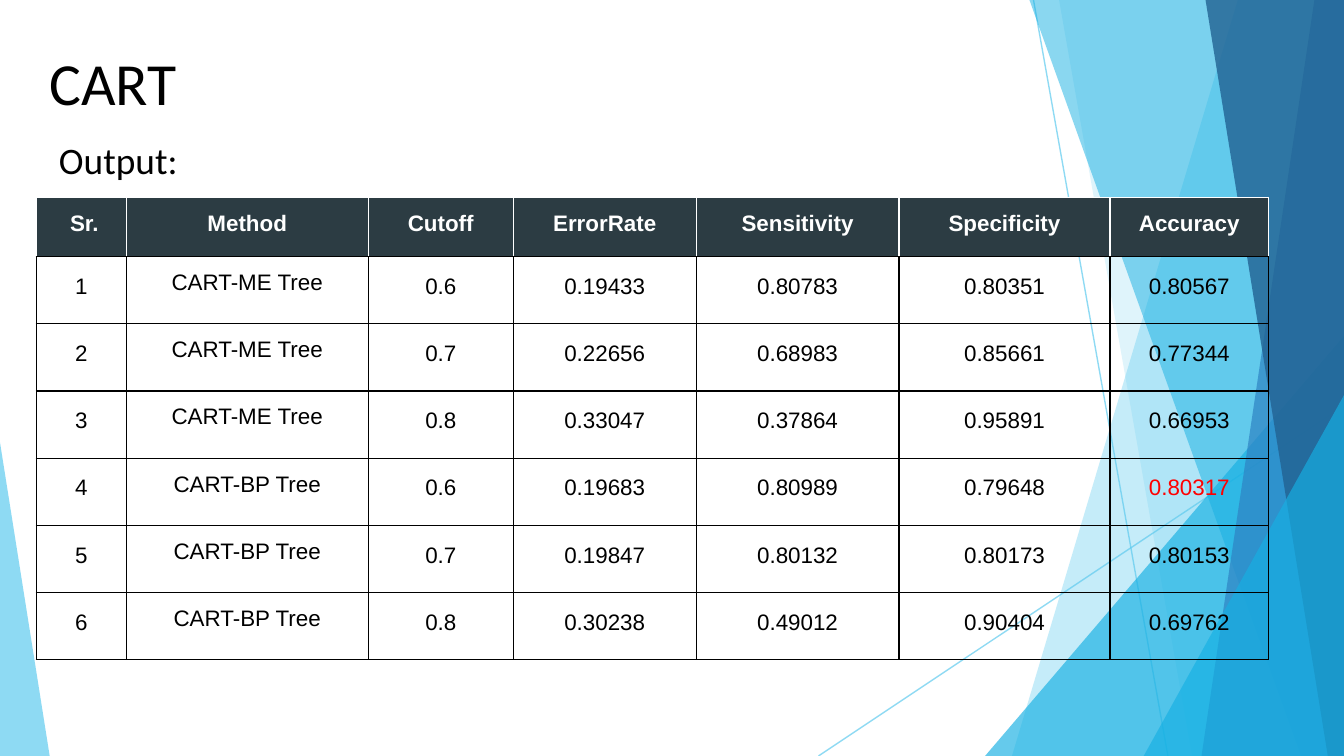
from lxml.etree import SubElement
from pptx import Presentation
from pptx.dml.color import RGBColor
from pptx.enum.shapes import MSO_CONNECTOR, MSO_SHAPE
from pptx.enum.text import PP_ALIGN
from pptx.oxml.ns import qn
from pptx.util import Inches, Pt

WIDE = 10
HIGH = WIDE * 9 / 16
HEX = {
    "sky": "5FCBEF", "cyan": "16B0E3", "blue": "2E83C3", "navy": "226292",
    "slate": "2C3C43", "black": "000000", "white": "FFFFFF", "red": "FF0000",
}

# Content
TEXTS = [  # text, left, top, width, height, size, space after
    ("CART", 0.27, 0.24, 9.32, 0.5, 32, 0),
    ("Output:", 0.34, 0.92, 9.32, 0.55, 20, 16),
]
HEAD = [" Sr.", "Method", "Cutoff", "ErrorRate", "Sensitivity", "Specificity", "Accuracy"]
ROWS = [
    ["1", "CART-ME Tree", "0.6", "0.19433", "0.80783", "0.80351", "0.80567"],
    ["2", "CART-ME Tree", "0.7", "0.22656", "0.68983", "0.85661", "0.77344"],
    ["3", "CART-ME Tree", "0.8", "0.33047", "0.37864", "0.95891", "0.66953"],
    ["4", "CART-BP Tree", "0.6", "0.19683", "0.80989", "0.79648", "0.80317"],
    ["5", "CART-BP Tree", "0.7", "0.19847", "0.80132", "0.80173", "0.80153"],
    ["6", "CART-BP Tree", "0.8", "0.30238", "0.49012", "0.90404", "0.69762"],
]
COLS = [0.67, 1.8, 1.08, 1.36, 1.51, 1.57, 1.18]
HEAD_H, ROW_H = 0.44, 0.5
METHOD = 1
MARK = (4, 6)  # row and column of the red value

# Backdrop, from back to front
RAYS = [(7.69, 0, 8.69, HIGH), (10, 3.02, 6.09, HIGH)]
FACETS = [
    # band: top x, bottom x; peak: left, top, width, apex
    ("band", (9.21, 7.53), "sky", 36),
    ("band", (7.88, 8.87), "sky", 20),
    ("peak", (7.33, 2.5, 2.67, 1), "cyan", 66),
    ("band", (7.66, 9.68), "cyan", 50),
    ("band", (9.78, 8.94), "blue", 70),
    ("band", (8.97, 9.88), "navy", 80),
    ("peak", (8.51, 2.94, 1.49, 1), "cyan", 66),
    ("peak", (0, 3.29, 0.37, 0), "sky", 70),
]


def rgb(name):
    return RGBColor.from_string(HEX[name])


def fade(shape, pct):
    tint = shape._element.spPr.find(".//" + qn("a:srgbClr"))
    SubElement(tint, qn("a:alpha"), val=str(pct * 1000))


def ray(shapes, ends):
    line = shapes.add_connector(MSO_CONNECTOR.STRAIGHT, *map(Inches, ends))
    line.line.color.rgb = rgb("sky")
    line.line.width = Pt(0.75)
    fade(line, 70)
    SubElement(line._element.spPr, qn("a:effectLst"))


def facet(shapes, kind, spot, tint, pct):
    if kind == "band":
        top, low = spot
        path = shapes.build_freeform(Inches(top), 0)
        ends = [(WIDE, 0), (WIDE, HIGH), (low, HIGH)]
        path.add_line_segments([(Inches(x), Inches(y)) for x, y in ends])
        shape = path.convert_to_shape()
    else:
        left, top, width, apex = spot
        box = map(Inches, (left, top, width, HIGH - top))
        shape = shapes.add_shape(MSO_SHAPE.ISOSCELES_TRIANGLE, *box)
        shape.adjustments[0] = apex
    shape.shadow.inherit = False
    shape.fill.solid()
    shape.fill.fore_color.rgb = rgb(tint)
    shape.line.fill.background()
    fade(shape, pct)


def pad(part):
    part.margin_left = part.margin_right = Inches(0.1)
    part.margin_top = part.margin_bottom = Inches(0.1)


def style(para, face, size, tint, bold=False):
    para.font.name = face
    para.font.size = Pt(size)
    para.font.bold = bold
    para.font.color.rgb = rgb(tint)


def label(shapes, text, left, top, width, height, size, after):
    frame = shapes.add_textbox(*map(Inches, (left, top, width, height))).text_frame
    frame.word_wrap = True
    pad(frame)
    para = frame.paragraphs[0]
    para.text = text
    para.space_after = Pt(after)
    style(para, "Calibri", size, "black")


def edge(cell, sides):
    props = cell._tc.get_or_add_tcPr()
    for side, tint in sides.items():
        line = SubElement(props, qn("a:ln" + side), w=str(Pt(0.75)))
        fill = SubElement(line, qn("a:solidFill"))
        SubElement(fill, qn("a:srgbClr"), val=HEX[tint])


def fill_cell(cell, text, row, col):
    head = row == 0
    pad(cell)
    para = cell.text_frame.paragraphs[0]
    para.text = text
    para.alignment = PP_ALIGN.CENTER
    if not head and col != METHOD:
        para.line_spacing = 1.15
    tint = "white" if head else "red" if (row, col) == MARK else "black"
    style(para, "Arial", 12, tint, head)
    rim = "white" if head else "black"
    edge(cell, {"L": rim, "R": rim, "T": rim, "B": "black"})
    if head:
        cell.fill.solid()
        cell.fill.fore_color.rgb = rgb("slate")
    else:
        cell.fill.background()


def grid(shapes):
    data = [HEAD] + ROWS
    tall = HEAD_H + ROW_H * len(ROWS)
    box = map(Inches, (0.27, 1.47, sum(COLS), tall))
    table = shapes.add_table(len(data), len(COLS), *box).table
    table.first_row = table.horz_banding = False
    for col, width in zip(table.columns, COLS):
        col.width = Inches(width)
    for r, line in enumerate(data):
        table.rows[r].height = Inches(ROW_H if r else HEAD_H)
        for c, text in enumerate(line):
            fill_cell(table.cell(r, c), text, r, c)


def main():
    deck = Presentation()
    deck.slide_width, deck.slide_height = Inches(WIDE), Inches(HIGH)
    shapes = deck.slides.add_slide(deck.slide_layouts[6]).shapes
    for ends in RAYS:
        ray(shapes, ends)
    for part in FACETS:
        facet(shapes, *part)
    for item in TEXTS:
        label(shapes, *item)
    grid(shapes)
    deck.save("out.pptx")


if __name__ == "__main__":
    main()
